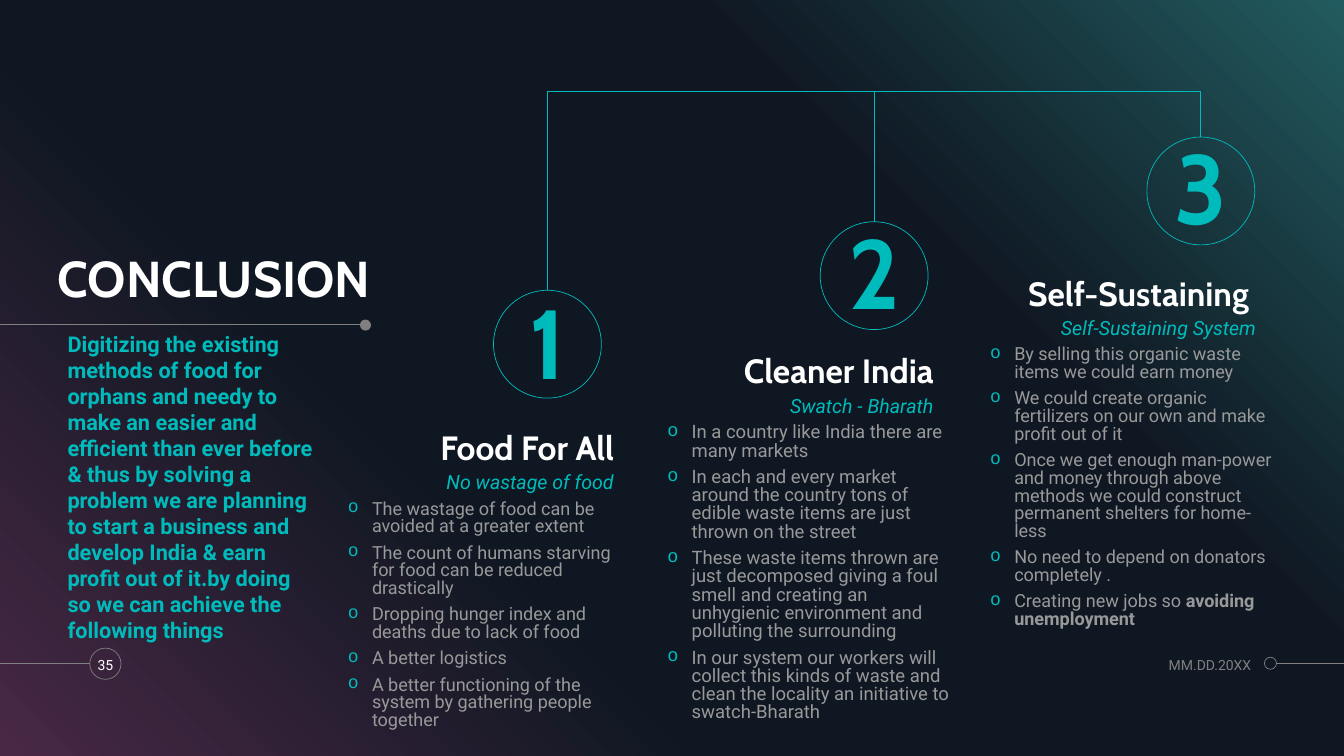
from lxml import etree
from pptx import Presentation
from pptx import util as u
from pptx.dml.color import RGBColor
from pptx.enum import shapes, text
from pptx.oxml import ns

WIDE, HIGH = 13.33, 7.5
TEAL = RGBColor(0x00, 0xBB, 0xBB)
WHITE = RGBColor(0xFF, 0xFF, 0xFF)
GREY = RGBColor(0x80, 0x80, 0x80)
PALE = RGBColor(0x99, 0x99, 0x99)
PLUM = RGBColor(0x48, 0x28, 0x45)
NAVY = RGBColor(0x0F, 0x17, 0x22)
PINE = RGBColor(0x22, 0x5B, 0x5F)

LEFT, RIGHT, CENTER = text.PP_ALIGN.LEFT, text.PP_ALIGN.RIGHT, text.PP_ALIGN.CENTER
TOP, MIDDLE, BOTTOM = text.MSO_ANCHOR.TOP, text.MSO_ANCHOR.MIDDLE, text.MSO_ANCHOR.BOTTOM
RING = 1.07    # diameter of a step ring
RAIL = 0.91    # height of the rail the steps hang from
STEP = 3.24    # distance between ring centres
FIRST = 5.43   # centre of the first ring

# Each step: column left, heading top, ring top, number inset, bullet size, words
STEPS = [
    (3.45, 4.25, 2.88, 0.08, 12.9, "Food For All", "No wastage of food", [
        "The wastage of food can be avoided at a greater extent",
        "The count of humans starving for food can be reduced drastically",
        "Dropping hunger index and deaths due to lack of food",
        "A better logistics",
        "A better functioning of the system by gathering people together"]),
    (6.62, 3.49, 2.2, 0.04, 13.2, "Cleaner India", "Swatch - Bharath", [
        "In a country like India there are many markets",
        "In each and every market around the country tons of edible waste items "
        "are just thrown on the street",
        "These waste items thrown are just decomposed giving a foul smell and "
        "creating an unhygienic environment and polluting the surrounding",
        "In our system our workers will collect this kinds of waste and clean "
        "the locality an initiative to swatch-Bharath"]),
    (9.82, 2.72, 1.36, 0.04, 12.9, "Self-Sustaining ", "Self-Sustaining System", [
        "By selling this organic waste items we could earn money",
        "We could create organic fertilizers on our own and make profit out of it",
        "Once we get enough man-power and money through above methods we could "
        "construct permanent shelters for home-less",
        "No need to depend on donators completely .",
        ("Creating new jobs so ", "avoiding unemployment")]),
]
GOAL = ("Digitizing the existing methods of food for orphans and needy to make an "
        "easier and efficient than ever before & thus by solving a problem we are "
        "planning to start a business and develop India & earn profit out of it.by "
        "doing so we can achieve the following things")


def bullet(para):
    props = para._p.get_or_add_pPr()
    props.set("marL", str(u.Inches(0.24)))
    props.set("indent", str(-u.Inches(0.24)))
    color = etree.SubElement(props, ns.qn("a:buClr"))
    etree.SubElement(color, ns.qn("a:srgbClr"), val=str(TEAL))
    etree.SubElement(props, ns.qn("a:buFont"), typeface="Courier New")
    etree.SubElement(props, ns.qn("a:buChar"), char="o")


def write(shape, items, size=14, color=WHITE, font="Roboto", bold=False, italic=False,
          align=LEFT, anchor=TOP, space=1.0, before=0, inset=0, dots=False):
    """Fill a shape with paragraphs; the second part of a tuple is bold."""
    frame = shape.text_frame
    frame.word_wrap = True
    frame.vertical_anchor = anchor
    frame.margin_left = frame.margin_right = frame.margin_bottom = 0
    frame.margin_top = u.Inches(inset)
    for i, item in enumerate(items):
        para = frame.paragraphs[0] if i == 0 else frame.add_paragraph()
        para.alignment = align
        para.line_spacing = space
        para.space_before = u.Pt(before)
        if dots:
            bullet(para)
        parts = item if isinstance(item, tuple) else (item,)
        for j, part in enumerate(parts):
            run = para.add_run()
            run.text = part
            run.font.name, run.font.size = font, u.Pt(size)
            run.font.color.rgb = color
            run.font.bold, run.font.italic = bold or j > 0, italic


def label(slide, x, y, w, h, *items, **form):
    box = slide.shapes.add_textbox(*map(u.Inches, (x, y, w, h)))
    write(box, items, **form)


def line(slide, x1, y1, x2, y2, color=GREY):
    link = slide.shapes.add_connector(
        shapes.MSO_CONNECTOR.STRAIGHT, *map(u.Inches, (x1, y1, x2, y2)))
    link.line.color.rgb = color
    link.line.width = u.Pt(0.5)
    etree.SubElement(link._element.spPr, ns.qn("a:effectLst"))


def circle(slide, x, y, size, color=GREY, solid=False):
    dot = slide.shapes.add_shape(
        shapes.MSO_SHAPE.OVAL, *map(u.Inches, (x, y, size, size)))
    dot.shadow.inherit = False
    if solid:
        dot.fill.solid()
        dot.fill.fore_color.rgb = color
        dot.line.fill.background()
    else:
        dot.fill.background()
        dot.line.color.rgb = color
        dot.line.width = u.Pt(0.5)
    return dot


def backdrop(slide):
    panel = slide.shapes.add_shape(
        shapes.MSO_SHAPE.RECTANGLE, 0, 0, u.Inches(WIDE), u.Inches(HIGH))
    panel.shadow.inherit = False
    panel.line.fill.background()
    panel.fill.gradient()
    panel.fill.gradient_angle = 45
    stops = panel._element.spPr.find(".//" + ns.qn("a:gsLst"))
    for old in list(stops):
        stops.remove(old)
    for share, color in ((0, PLUM), (34, NAVY), (69, NAVY), (100, PINE)):
        stop = etree.SubElement(stops, ns.qn("a:gs"), pos=str(share * 1000))
        etree.SubElement(stop, ns.qn("a:srgbClr"), val=str(color))


def intro(slide, x, y):
    """Title, rule and goal; y is the height of the rule."""
    line(slide, 0, y, x + 3.01, y)
    circle(slide, x + 3, y - 0.05, 0.11, solid=True)
    label(slide, x, y - 1.57, 3.76, 1.41, "CONCLUSION", size=36, font="Cabin",
          bold=True, anchor=BOTTOM, space=0.9)
    label(slide, x + 0.1, y + 0.06, 2.44, 2.86, GOAL, size=15.5, color=TEAL,
          bold=True, before=10)


def step(slide, num, x, y, ring, inset, size, head, sub, points):
    """One column with its top left at x, y, hung from the rail by its ring."""
    mid = FIRST + (num - 1) * STEP
    line(slide, mid, RAIL, mid, ring, TEAL)
    disc = circle(slide, mid - RING / 2, ring, RING, TEAL)
    write(disc, [str(num)], size=70, color=TEAL, font="Cabin", bold=True,
          align=CENTER, anchor=MIDDLE, space=0.9, inset=inset)
    form = dict(align=RIGHT, anchor=BOTTOM, space=0.9, before=6)
    label(slide, x, y, 2.64, 0.39, head, size=24, font="Cabin", bold=True, **form)
    label(slide, x, y + 0.39, 2.64, 0.26, sub, color=TEAL, italic=True, **form)
    label(slide, x, y + 0.72, 2.83, 2.7, *points, size=size, color=PALE,
          space=0.82, before=6, dots=True)


def footer(slide, y):
    """Page number and date, centred on height y."""
    line(slide, 0, y, 0.89, y)
    circle(slide, 0.89, y - 0.15, 0.31)
    label(slide, 0.85, y - 0.15, 0.39, 0.33, "35", size=10, align=CENTER, anchor=MIDDLE)
    label(slide, 10.95, y - 0.15, 1.46, 0.33, "MM.DD.20XX", size=10, color=GREY,
          align=RIGHT, anchor=MIDDLE)
    circle(slide, 12.54, y - 0.06, 0.12)
    line(slide, 12.66, y, WIDE, y)


def main():
    deck = Presentation()
    deck.slide_width, deck.slide_height = u.Inches(WIDE), u.Inches(HIGH)
    slide = deck.slides.add_slide(deck.slide_layouts[6])
    backdrop(slide)
    intro(slide, 0.57, 3.22)
    line(slide, FIRST, RAIL, FIRST + 2 * STEP, RAIL, TEAL)
    for num, parts in enumerate(STEPS, 1):
        step(slide, num, *parts)
    footer(slide, 6.58)
    deck.save("out.pptx")


if __name__ == "__main__":
    main()
